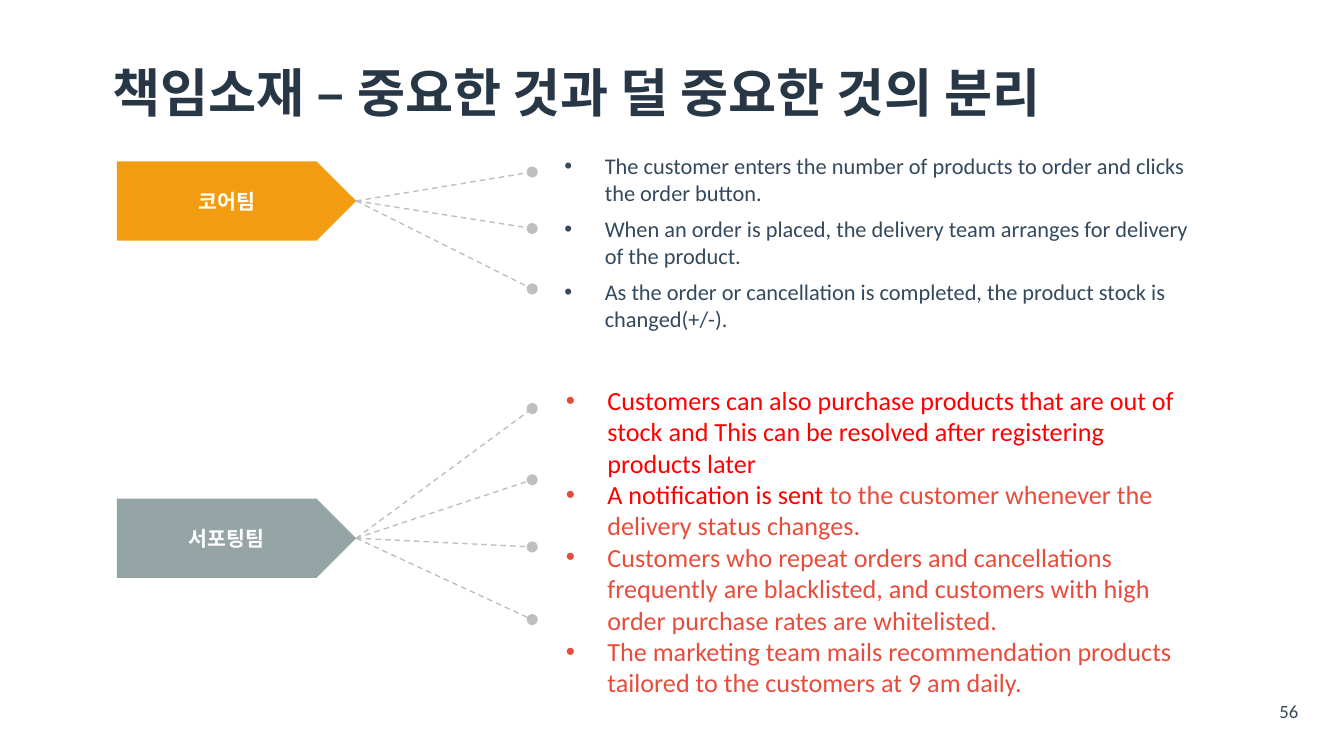
from pptx import Presentation
from pptx.dml.color import RGBColor
from pptx.enum.dml import MSO_LINE
from pptx.enum.shapes import MSO_CONNECTOR, MSO_SHAPE
from pptx.enum.text import MSO_ANCHOR, MSO_AUTO_SIZE, PP_ALIGN
from pptx.oxml.ns import qn
from pptx.util import Inches, Pt
from lxml.etree import SubElement

# Content
TITLE = "책임소재 – 중요한 것과 덜 중요한 것의 분리"
PAGE = "56"
NAVY, RED, CORAL, GREY, WHITE = "34495E", "FF0000", "E74C3C", "BFBFBF", "FFFFFF"
LATIN, KOREAN = "Calibri", "Noto Sans CJK KR"

# Each list item is a sequence of (text, colour) runs
TEAMS = [
    dict(name="코어팀", fill="F39C12", top=1.2, ends=[1.28, 1.7, 2.15],
         box=(3.81, 1.08, 5.14, 2.18), box_fill=WHITE,
         size=12, indent=0.3, margin=0.59, gap=5, bullet=NAVY,
         items=[
             [("The customer enters the number of products to order and clicks the order button.", NAVY)],
             [("When an order is placed, the delivery team arranges for delivery of the product.", NAVY)],
             [("As the order or cancellation is completed, the product stock is changed(+/-).", NAVY)],
         ]),
    dict(name="서포팅팀", fill="95A5A6", top=3.71, ends=[3.04, 3.57, 4.07, 4.61],
         box=(3.81, 2.81, 5.09, 2.46), box_fill=None,
         size=14, indent=0.31, margin=0.61, gap=0, bullet=CORAL,
         items=[
             [("Customers can also purchase products that are out of stock and "
               "This can be resolved after registering products later", RED)],
             [("A notification is sent ", RED),
              ("to the customer whenever the delivery status changes.", CORAL)],
             [("Customers who repeat orders and cancellations frequently are blacklisted, "
               "and customers with high order purchase rates are whitelisted.", CORAL)],
             [("The marketing team mails recommendation products tailored to the "
               "customers at 9 am daily.", CORAL)],
         ]),
]

# Flag geometry and the column where the connectors end
FLAG_X, FLAG_W, FLAG_H, DOT_X = 0.87, 1.78, 0.59, 3.96


def rgb(value):
    return RGBColor.from_string(value)


def style(r, size, color, bold=False, font=LATIN):
    r.font.size, r.font.bold, r.font.name = Pt(size), bold, font
    r.font.color.rgb = rgb(color)
    if font == KOREAN:
        SubElement(r.font._element, qn("a:ea")).set("typeface", font)


def place(sp, box):
    sp.left, sp.top, sp.width, sp.height = map(Inches, box)


def frame(sp, anchor, dx=0.1, dy=0.05):
    tf = sp.text_frame
    tf.word_wrap, tf.auto_size, tf.vertical_anchor = True, MSO_AUTO_SIZE.NONE, anchor
    tf.margin_left = tf.margin_right = Inches(dx)
    tf.margin_top = tf.margin_bottom = Inches(dy)
    return tf


def add_bullet(p, color, margin, indent):
    pPr = p._p.get_or_add_pPr()
    pPr.set("marL", str(Inches(margin)))
    pPr.set("indent", str(-Inches(indent)))
    clr = SubElement(pPr, qn("a:buClr"))
    SubElement(clr, qn("a:srgbClr")).set("val", color)
    SubElement(pPr, qn("a:buFont")).set("typeface", "Arial")
    SubElement(pPr, qn("a:buChar")).set("char", "•")


def fill_list(sp, team):
    place(sp, team["box"])
    if team["box_fill"]:
        sp.fill.solid()
        sp.fill.fore_color.rgb = rgb(team["box_fill"])
        sp.line.color.rgb = rgb(team["box_fill"])
        sp.line.width = Pt(0.75)
    tf = frame(sp, MSO_ANCHOR.TOP)
    for i, runs in enumerate(team["items"]):
        p = tf.add_paragraph() if i else tf.paragraphs[0]
        add_bullet(p, team["bullet"], team["margin"], team["indent"])
        p.space_before = Pt(team["gap"] if i else 0)
        for text, color in runs:
            r = p.add_run()
            r.text = text
            style(r, team["size"], color)


def add_flag(s, team):
    sp = s.shapes.add_shape(MSO_SHAPE.PENTAGON, Inches(FLAG_X), Inches(team["top"]),
                            Inches(FLAG_W), Inches(FLAG_H))
    sp.shadow.inherit = False
    sp.fill.solid()
    sp.fill.fore_color.rgb = rgb(team["fill"])
    sp.line.fill.background()
    p = frame(sp, MSO_ANCHOR.MIDDLE).paragraphs[0]
    p.text = team["name"]
    p.alignment = PP_ALIGN.CENTER
    style(p.runs[0], 11, WHITE, True, KOREAN)


def add_branch(s, y1, y2):
    c = s.shapes.add_connector(MSO_CONNECTOR.STRAIGHT, Inches(FLAG_X + FLAG_W), Inches(y1),
                               Inches(DOT_X), Inches(y2))
    c.line.color.rgb = rgb(GREY)
    c.line.width = Pt(0.75)
    c.line.dash_style = MSO_LINE.DASH
    SubElement(c.line._get_or_add_ln(), qn("a:tailEnd")).set("type", "oval")
    SubElement(c._element.spPr, qn("a:effectLst"))


# Widescreen 16:9 slide
prs = Presentation()
prs.slide_width = Inches(10)
prs.slide_height = prs.slide_width * 9 // 16
s = prs.slides.add_slide(prs.slide_layouts[3])

# Title
title = s.shapes.title
place(title, (0.74, 0.45, 8.57, 0.52))
p = frame(title, MSO_ANCHOR.MIDDLE).paragraphs[0]
p.text = TITLE
p.alignment, p.line_spacing = PP_ALIGN.LEFT, 0.9
style(p.runs[0], 28, "273746", True)

# Teams: list, flag and branches
for idx, team in enumerate(TEAMS, start=1):
    fill_list(s.placeholders[idx], team)
    add_flag(s, team)
    for end in team["ends"]:
        add_branch(s, team["top"] + FLAG_H / 2, end)

# Page number
number = s.shapes.add_textbox(*map(Inches, (9.31, 5.21, 0.56, 0.26)))
p = frame(number, MSO_ANCHOR.TOP, 0.15, 0.07).paragraphs[0]
p.text = PAGE
p.alignment, p.line_spacing = PP_ALIGN.CENTER, 0.5
style(p.runs[0], 10, NAVY)

prs.save("out.pptx")
